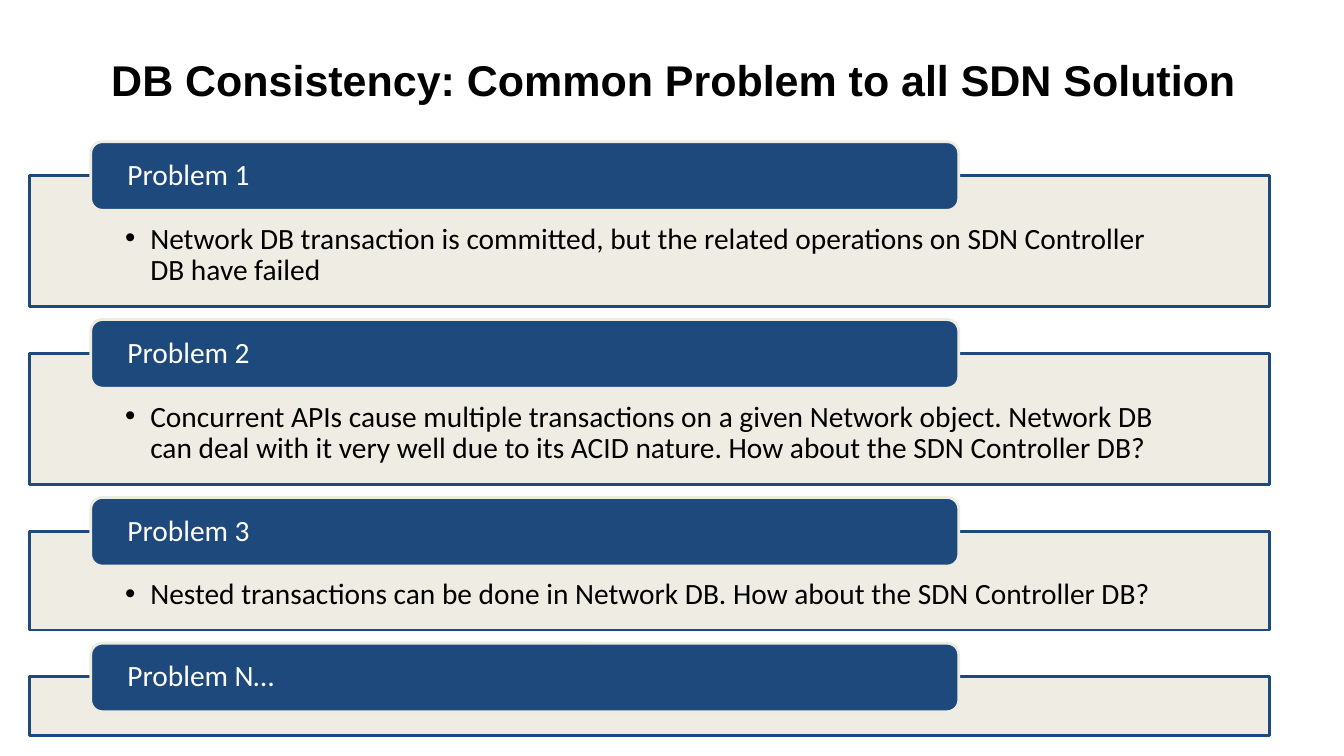
from dataclasses import dataclass

from lxml import etree
from pptx import Presentation
from pptx import util as u
from pptx.dml.color import RGBColor
from pptx.enum import shapes, text
from pptx.oxml.ns import qn


@dataclass(frozen=True)
class Theme:
    navy: str = "1D497D"
    sand: str = "EEECE0"
    white: str = "FFFFFF"
    black: str = "000000"
    title_font: str = "Arial"
    body_font: str = "Calibri"
    title_size: float = 30.7
    body_size: float = 21
    line_width: float = 2


THEME = Theme()
WIDTH, HEIGHT = u.Inches(13.33), u.Inches(7.5)

# Grid: 100 columns by 100 rows over the slide
TITLE_BOX = (3, 4.93, 95.2, 11.07)
PANEL_LEFT, PANEL_WIDTH = 2.18, 92.27
TAB_LEFT, TAB_WIDTH, TAB_HEIGHT = 6.75, 64.59, 9.07
FIRST_TOP, GAP, TAB_RISE = 23.2, 6.2, 4.45

# Tab label, panel text, panel height in rows
PROBLEMS = [
    ("Problem 1",
     "Network DB transaction is committed, but the related operations on "
     "SDN Controller DB have failed", 17.33),
    ("Problem 2",
     "Concurrent APIs cause multiple transactions on a given Network object. "
     "Network DB can deal with it very well due to its ACID nature. "
     "How about the SDN Controller DB?", 17.33),
    ("Problem 3",
     "Nested transactions can be done in Network DB. "
     "How about the SDN Controller DB?", 13.07),
    ("Problem N…", "", 7.73),
]


def grid(left, top, width, height):
    """Turn columns and rows into slide lengths."""
    return [round(n * side / 100) for n, side in
            ((left, WIDTH), (top, HEIGHT), (width, WIDTH), (height, HEIGHT))]


def set_attrs(obj, values):
    for name, value in values.items():
        setattr(obj, name, value)


def format_frame(tf, anchor, insets):
    names = ("margin_left", "margin_top", "margin_right", "margin_bottom")
    set_attrs(tf, {"word_wrap": True, "vertical_anchor": anchor,
                   "auto_size": text.MSO_AUTO_SIZE.NONE,
                   **{n: u.Inches(v) for n, v in zip(names, insets)}})


def write(p, words, font, size, color, align, bold=False, spacing=1.0):
    set_attrs(p, {"alignment": align, "line_spacing": spacing,
                  "space_before": u.Pt(0), "space_after": u.Pt(0)})
    r = p.add_run()
    r.text = words
    set_attrs(r.font, {"name": font, "size": u.Pt(size), "bold": bold})
    r.font.color.rgb = RGBColor.from_string(color)


def add_bullet(p, indent):
    p.level = 1
    pPr = p._p.get_or_add_pPr()
    pPr.set("marL", str(u.Inches(indent)))
    pPr.set("indent", str(-u.Inches(indent)))
    etree.SubElement(pPr, qn("a:buFont")).set("typeface", "Arial")
    etree.SubElement(pPr, qn("a:buChar")).set("char", "•")


def add_box(s, kind, box, fill, line):
    sp = s.shapes.add_shape(kind, *grid(*box))
    sp.shadow.inherit = False
    sp.fill.solid()
    sp.fill.fore_color.rgb = RGBColor.from_string(fill)
    sp.line.color.rgb = RGBColor.from_string(line)
    sp.line.width = u.Pt(THEME.line_width)
    return sp


def add_title(s, words):
    sp = s.shapes.title
    set_attrs(sp, dict(zip(("left", "top", "width", "height"), grid(*TITLE_BOX))))
    format_frame(sp.text_frame, text.MSO_ANCHOR.MIDDLE, (0.07, 0.04, 0.07, 0.04))
    write(sp.text_frame.paragraphs[0], words, THEME.title_font, THEME.title_size,
          THEME.black, text.PP_ALIGN.CENTER, bold=True)


def add_panel(s, top, height, words):
    sp = add_box(s, shapes.MSO_SHAPE.RECTANGLE,
                 (PANEL_LEFT, top, PANEL_WIDTH, height), THEME.sand, THEME.navy)
    # Slightly see-through fill
    color = sp.fill._xPr.find(qn("a:solidFill"))[0]
    etree.SubElement(color, qn("a:alpha")).set("val", "90000")
    if words:
        tf = sp.text_frame
        format_frame(tf, text.MSO_ANCHOR.TOP, (0.95, 0.48, 0.95, 0.16))
        p = tf.paragraphs[0]
        write(p, words, THEME.body_font, THEME.body_size, THEME.black,
              text.PP_ALIGN.LEFT, spacing=0.9)
        add_bullet(p, 0.25)


def add_tab(s, top, label):
    sp = add_box(s, shapes.MSO_SHAPE.ROUNDED_RECTANGLE,
                 (TAB_LEFT, top, TAB_WIDTH, TAB_HEIGHT), THEME.navy, THEME.sand)
    sp.adjustments[0] = 0.17
    format_frame(sp.text_frame, text.MSO_ANCHOR.MIDDLE, (0.33, 0, 0.33, 0))
    write(sp.text_frame.paragraphs[0], label, THEME.body_font, THEME.body_size,
          THEME.white, text.PP_ALIGN.LEFT, spacing=0.9)


def main():
    prs = Presentation()
    set_attrs(prs, {"slide_width": WIDTH, "slide_height": HEIGHT})
    s = prs.slides.add_slide(prs.slide_layouts.get_by_name("Title Only"))

    # Heading
    add_title(s, "DB Consistency: Common Problem to all SDN Solution ")

    # Stack of panels, each with a tab over its top edge
    top = FIRST_TOP
    for label, words, height in PROBLEMS:
        add_panel(s, top, height, words)
        add_tab(s, top - TAB_RISE, label)
        top += height + GAP

    prs.save("out.pptx")


if __name__ == "__main__":
    main()
